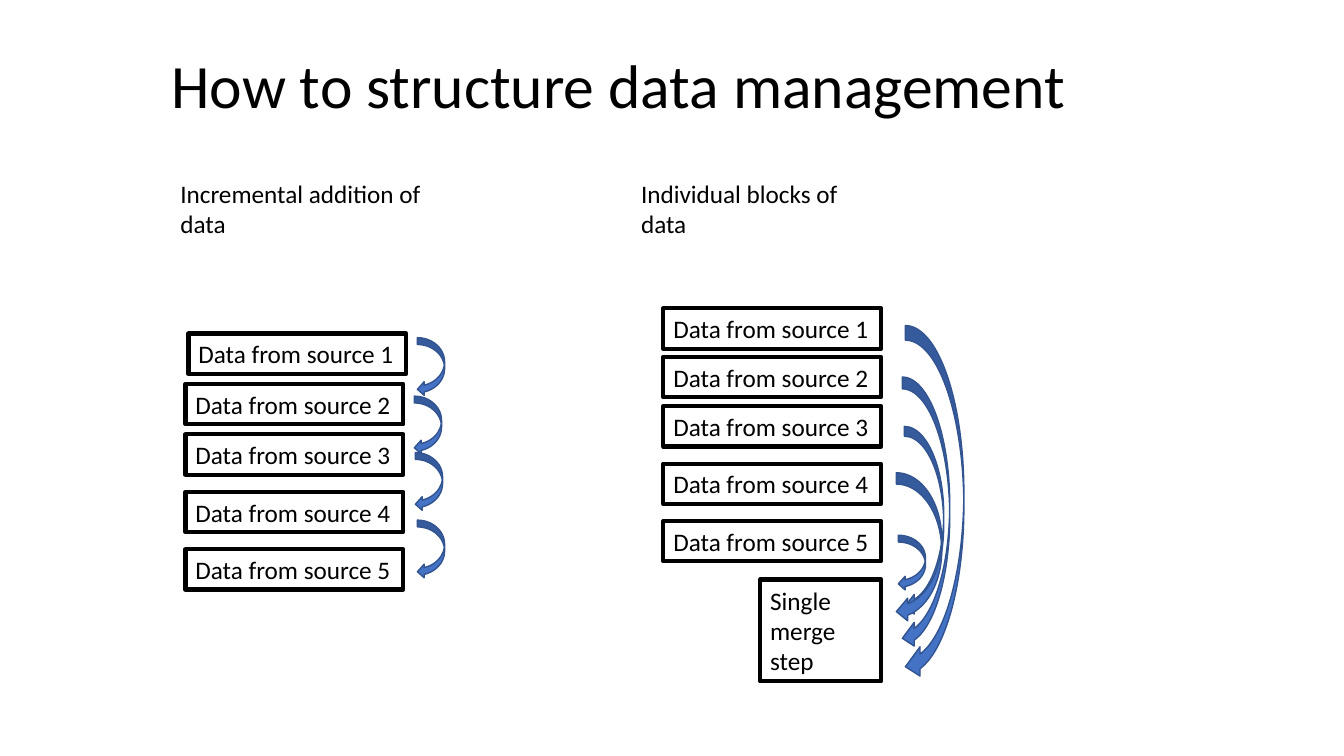
from pptx import Presentation
from pptx.dml.color import RGBColor
from pptx.enum.shapes import MSO_SHAPE
from pptx.enum.text import MSO_ANCHOR, MSO_AUTO_SIZE, PP_ALIGN
from pptx.util import Pt

EMU_PER_PX = 9144  # 100 px to the inch
FONT = "Calibri"
BLACK = "000000"
ARROW_FILL = "4472C4"
ARROW_LINE = "325491"

BOX_WIDTH, BOX_HEIGHT = 216, 40
INCREMENTAL_BOXES = [(187, 331), (184, 381), (184, 431), (184, 488), (184, 545)]
INDIVIDUAL_BOXES = [(658, top) for top in (306, 354, 403, 460, 517)]
STEP_ARROWS = [(414, 335), (411, 393), (412, 449), (414, 516)]
MERGE_ARROWS = [
    (898, 323, 58, 353),
    (895, 374, 47, 271),
    (897, 423, 39, 189),
    (889, 469, 45, 149),
    (891, 531, 27, 55),
]


def px(length):
    return length * EMU_PER_PX


def color(hex_string):
    return RGBColor.from_string(hex_string)


def place(shape, left, top, width, height):
    shape.left, shape.top = px(left), px(top)
    shape.width, shape.height = px(width), px(height)


def write(shape, text, size, wrap=False):
    """Put one left-aligned, vertically centred run into the shape."""
    frame = shape.text_frame
    frame.word_wrap = wrap
    frame.vertical_anchor = MSO_ANCHOR.MIDDLE
    paragraph = frame.paragraphs[0]
    paragraph.alignment = PP_ALIGN.LEFT
    run = paragraph.add_run()
    run.text = text
    run.font.name = FONT
    run.font.size = Pt(size)
    run.font.color.rgb = color(BLACK)
    return paragraph


def add_title(slide, text):
    title = slide.shapes.title
    place(title, 160, 15, 1150, 145)
    paragraph = write(title, text, 44, wrap=True)
    paragraph.line_spacing = 0.9


def add_heading(slide, text, left, top, width):
    heading = slide.shapes.add_textbox(px(left), px(top), px(width), px(BOX_HEIGHT))
    write(heading, text, 18)


def add_preset(slide, preset, bounds, line_color, line_width):
    shape = slide.shapes.add_shape(preset, *map(px, bounds))
    shape.shadow.inherit = False
    shape.line.color.rgb = color(line_color)
    shape.line.width = Pt(line_width)
    return shape


def add_box(slide, text, bounds, wrap=False):
    box = add_preset(slide, MSO_SHAPE.RECTANGLE, bounds, BLACK, 3)
    box.fill.background()
    write(box, text, 18, wrap)
    box.text_frame.auto_size = MSO_AUTO_SIZE.SHAPE_TO_FIT_TEXT


def add_source_boxes(slide, positions):
    for number, (left, top) in enumerate(positions, start=1):
        add_box(slide, f"Data from source {number}", (left, top, BOX_WIDTH, BOX_HEIGHT))


def add_curved_arrow(slide, bounds):
    arrow = add_preset(slide, MSO_SHAPE.CURVED_LEFT_ARROW, bounds, ARROW_LINE, 1)
    arrow.fill.solid()
    arrow.fill.fore_color.rgb = color(ARROW_FILL)


def main():
    presentation = Presentation()
    presentation.slide_width, presentation.slide_height = px(1333), px(750)
    slide = presentation.slides.add_slide(presentation.slide_layouts[5])

    add_title(slide, "How to structure data management")
    add_source_boxes(slide, INCREMENTAL_BOXES)
    add_source_boxes(slide, INDIVIDUAL_BOXES)
    for left, top in STEP_ARROWS:
        add_curved_arrow(slide, (left, top, 27, 58))
    for bounds in MERGE_ARROWS:
        add_curved_arrow(slide, bounds)
    add_box(slide, "Single merge step", (754, 575, 120, 101), wrap=True)
    add_heading(slide, "Incremental addition of data", 169, 187, 308)
    add_heading(slide, "Individual blocks of data", 626, 187, 265)

    presentation.save("out.pptx")


if __name__ == "__main__":
    main()
